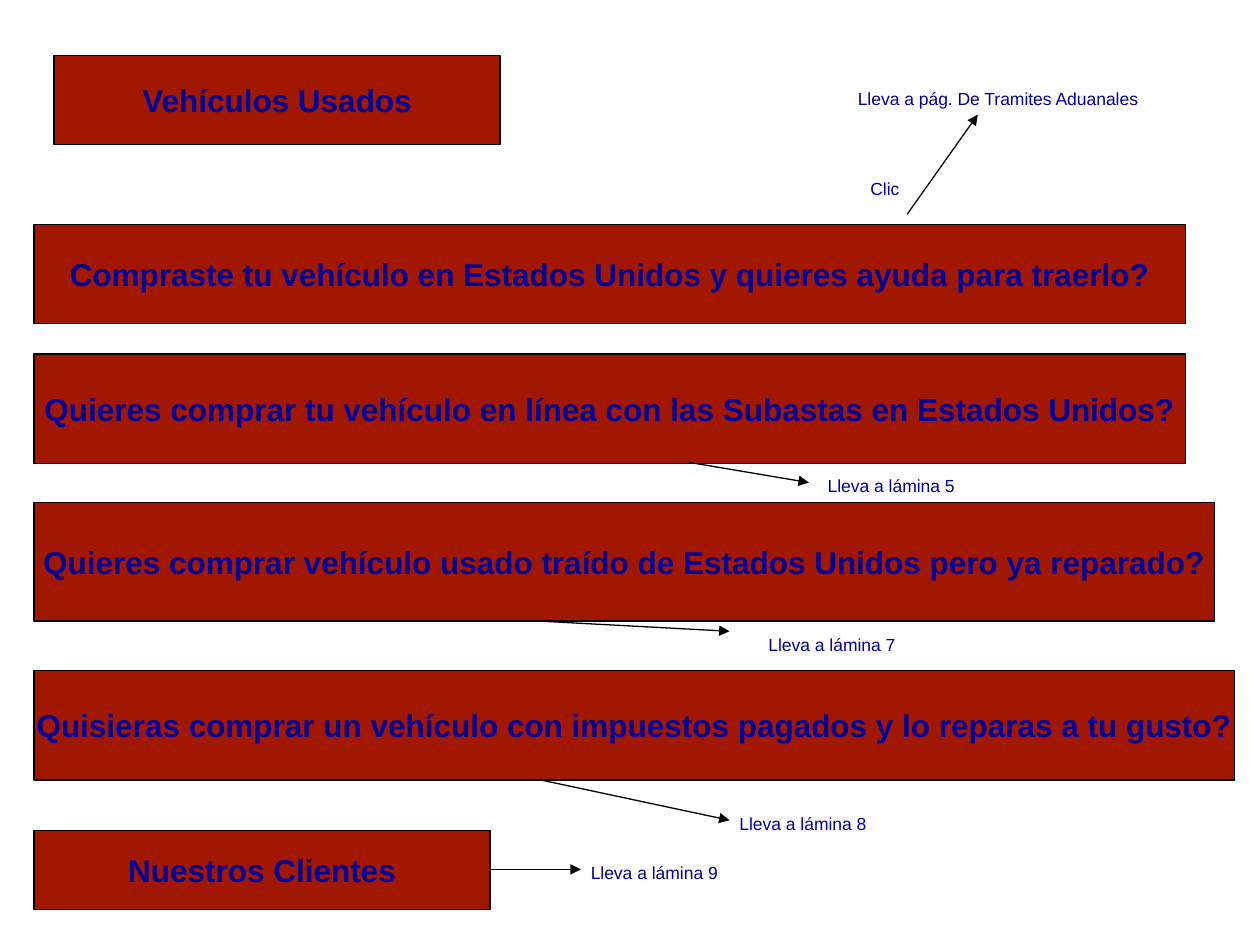
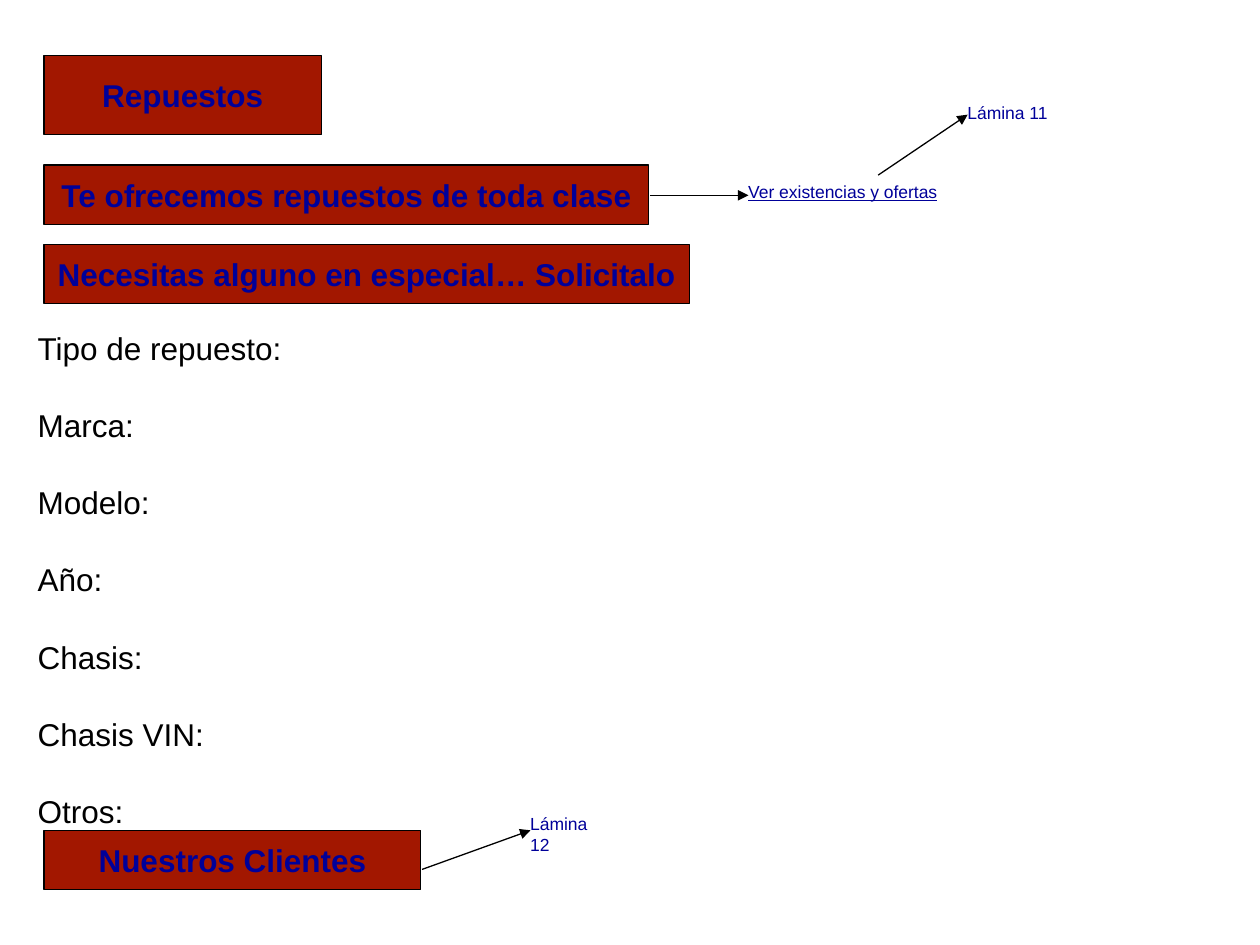
from dataclasses import dataclass
from pptx import Presentation
from pptx.dml.color import RGBColor as Rgb
from pptx.enum.shapes import MSO_CONNECTOR as Link, MSO_SHAPE as Shape
from pptx.enum.text import MSO_ANCHOR as Anchor, MSO_AUTO_SIZE as Fit, PP_ALIGN as Align
from pptx.oxml.ns import qn
from pptx.util import Inches, Pt


@dataclass(frozen=True)
class Theme:
    font: str = "Arial"
    band: str = "A21700"
    ink: str = "000099"
    black: str = "000000"
    big: int = 18
    small: int = 10
    line: float = 0.75


THEME = Theme()


def write(frame, *lines, size=THEME.small, color=THEME.ink, bold=False,
          under=False, align=Align.LEFT, gap=0):
    for i, line in enumerate(lines):
        para = frame.paragraphs[0] if i == 0 else frame.add_paragraph()
        para.alignment = align
        para.space_after = Pt(gap)
        run = para.add_run()
        run.text = line
        font = run.font
        font.name, font.size = THEME.font, Pt(size)
        font.bold, font.underline = bold, under
        font.color.rgb = Rgb.from_string(color)


def add_band(slide, text, left, top, width, height):
    band = slide.shapes.add_shape(Shape.RECTANGLE, *map(Inches, (left, top, width, height)))
    band.shadow.inherit = False
    band.fill.solid()
    band.fill.fore_color.rgb = Rgb.from_string(THEME.band)
    band.line.color.rgb = Rgb.from_string(THEME.black)
    band.line.width = Pt(THEME.line)
    frame = band.text_frame
    frame.word_wrap = False
    frame.vertical_anchor = Anchor.MIDDLE
    write(frame, text, size=THEME.big, bold=True, align=Align.CENTER)


def add_label(slide, text, left, top, width, height=0.27, wrap=False, under=False):
    box = slide.shapes.add_textbox(*map(Inches, (left, top, width, height)))
    frame = box.text_frame
    frame.word_wrap = wrap
    frame.auto_size = Fit.SHAPE_TO_FIT_TEXT
    write(frame, text, under=under)


def add_arrow(slide, *ends):
    arrow = slide.shapes.add_connector(Link.STRAIGHT, *map(Inches, ends))
    arrow.line.color.rgb = Rgb.from_string(THEME.black)
    arrow.line.width = Pt(THEME.line)
    line = arrow.line._get_or_add_ln()
    line.append(line.makeelement(qn("a:tailEnd"), {"type": "triangle"}))
    props = line.getparent()
    props.append(props.makeelement(qn("a:effectLst"), {}))


def add_form(slide, fields, left, top, width, height):
    box = slide.shapes.add_textbox(*map(Inches, (left, top, width, height)))
    frame = box.text_frame
    frame.word_wrap = True
    frame.margin_top = Inches(0.36)
    write(frame, *fields, size=THEME.big, color=THEME.black, gap=22.5)


def build_cars(slide):
    left = 0.27
    add_band(slide, "Vehículos Usados", 0.43, 0.44, 3.54, 0.71)
    for text, top, width, height in (
        ("Compraste tu vehículo en Estados Unidos y quieres ayuda para traerlo?", 1.78, 9.14, 0.79),
        ("Quieres comprar tu vehículo en línea con las Subastas en Estados Unidos?", 2.81, 9.14, 0.87),
        ("Quieres comprar vehículo usado traído de Estados Unidos pero ya reparado?", 3.99, 9.37, 0.94),
        ("Quisieras comprar un vehículo con impuestos pagados y lo reparas a tu gusto?", 5.32, 9.53, 0.87),
        ("Nuestros Clientes", 6.59, 3.62, 0.63),
    ):
        add_band(slide, text, left, top, width, height)
    add_label(slide, "Lleva a pág. De Tramites Aduanales", 6.71, 0.65, 2.44)
    add_label(slide, "Clic", 6.81, 1.36, 0.47, 0.44, wrap=True)
    add_arrow(slide, 7.2, 1.7, 7.76, 0.91)
    for page, x, y, ends in (
        (5, 6.47, 3.72, (5.47, 3.67, 6.42, 3.83)),
        (7, 6, 4.98, (4.29, 4.93, 5.79, 5.01)),
        (8, 5.77, 6.4, (4.29, 6.19, 5.79, 6.51)),
        (9, 4.59, 6.79, (3.9, 6.9, 4.61, 6.9)),
    ):
        add_label(slide, f"Lleva a lámina {page}", x, y, 1.21)
        add_arrow(slide, *ends)


def build_parts(slide):
    left, height = 0.35, 0.47
    fields = ("Tipo de repuesto:", "Marca:", "Modelo:", "Año:",
              "Chasis:", "Chasis VIN:", "Otros:")
    add_band(slide, "Repuestos", left, 0.44, 2.2, 0.63)
    add_form(slide, fields, 0.2, 2.25, 8.05, 4.9)
    for text, top, width in (
        ("Te ofrecemos repuestos de toda clase", 1.31, 4.8),
        ("Necesitas alguno en especial… Solicitalo", 1.94, 5.12),
        ("Nuestros Clientes", 6.59, 2.99),
    ):
        add_band(slide, text, left, top, width, height)
    add_label(slide, "Ver existencias y ofertas", 5.84, 1.39, 1.7, under=True)
    add_label(slide, "Lámina 11", 7.58, 0.76, 0.84)
    add_label(slide, "Lámina 12", 4.11, 6.4, 0.84)
    for ends in (
        (5.16, 1.55, 5.94, 1.55),
        (6.97, 1.39, 7.68, 0.91),
        (3.35, 6.9, 4.21, 6.59),
    ):
        add_arrow(slide, *ends)


def main():
    deck = Presentation()
    deck.slide_width, deck.slide_height = Inches(10), Inches(7.5)
    blank = deck.slide_layouts[6]
    for build in (build_cars, build_parts):
        build(deck.slides.add_slide(blank))
    deck.save("out.pptx")


if __name__ == "__main__":
    main()
